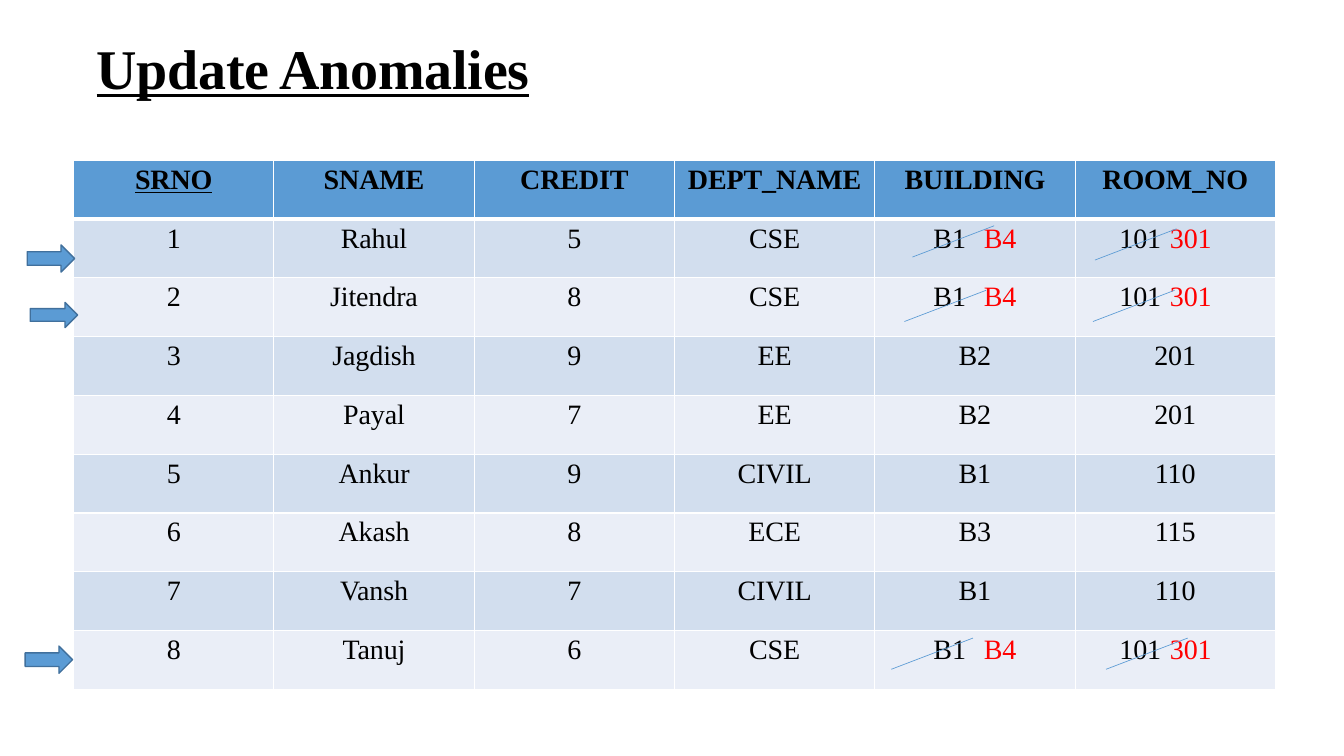
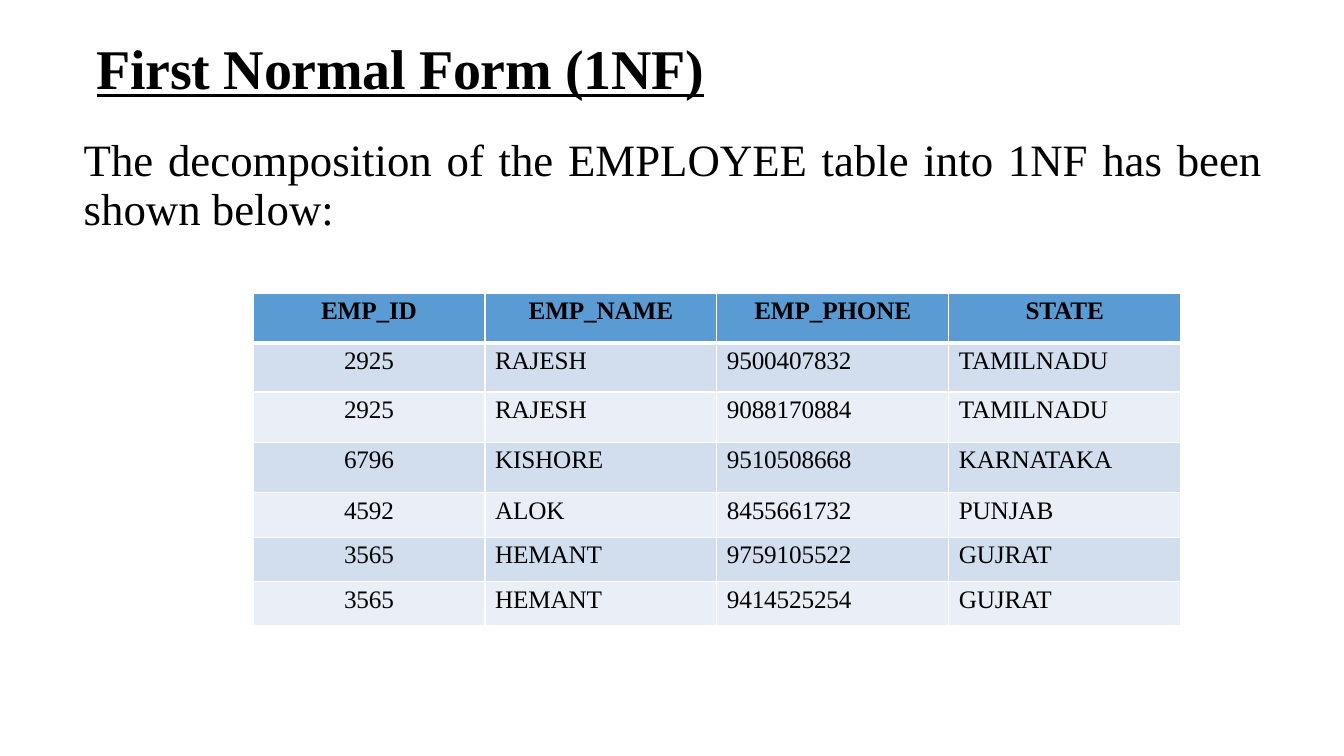
from lxml import etree
from pptx import Presentation
from pptx import util as u
from pptx.dml.color import RGBColor
from pptx.enum import shapes, text
from pptx.oxml.ns import qn

BLACK, WHITE, RED = "000000", "FFFFFF", "FF0000"
BLUE, DARK_BLUE = "5B9BD4", "41709C"
BANDS = ("D2DEEE", "EAEEF7")
LEFT, CENTER, JUSTIFY = (text.PP_ALIGN.LEFT, text.PP_ALIGN.CENTER,
                         text.PP_ALIGN.JUSTIFY)


def color(value):
    return RGBColor.from_string(value)


class Slides:
    """Holds the deck style and the current page."""

    font = "Times New Roman"

    def __init__(self):
        self.deck = Presentation()
        self.deck.slide_width = u.Inches(13.33)
        self.deck.slide_height = u.Inches(7.5)
        self.page = None

    def new_page(self, title):
        self.page = self.deck.slides.add_slide(self.deck.slide_layouts[6])
        self.text_box(title, (0.95, 0.03, 11.43, 1.17), (0.01, 0.3), 40,
                      bold=True, underline=True, spacing=-0.2)

    # Text
    def add_span(self, para, words, size, ink=BLACK, spacing=-0.1, **look):
        span = para.add_run()
        span.text = words
        for name, value in dict(name=self.font, size=u.Pt(size), **look).items():
            setattr(span.font, name, value)
        span.font.color.rgb = color(ink)
        span.font._element.set("spc", str(round(spacing * 100)))

    def text_box(self, words, place, inset, size, align=LEFT, leading=None, **look):
        box = self.page.shapes.add_textbox(*map(u.Inches, place))
        frame = box.text_frame
        settings = dict(word_wrap=True, margin_left=u.Inches(inset[0]),
                        margin_top=u.Inches(inset[1]), margin_right=0,
                        margin_bottom=0)
        for name, value in settings.items():
            setattr(frame, name, value)
        para = frame.paragraphs[0]
        para.alignment = align
        if leading:
            para.line_spacing = u.Pt(leading)
        self.add_span(para, words, size, **look)

    # Tables
    def borders(self, cell, top, bottom):
        properties = cell._tc.get_or_add_tcPr()
        sides = dict(lnL=1, lnR=1, lnT=top, lnB=bottom)
        for index, (side, width) in enumerate(sides.items()):
            line = etree.Element(qn("a:" + side), w=str(u.Pt(width)))
            fill = etree.SubElement(line, qn("a:solidFill"))
            etree.SubElement(fill, qn("a:srgbClr"), val=WHITE)
            properties.insert(index, line)

    def table(self, rows, corner, width, heights, size, left_from=None,
              key=None, tabs=None):
        """A cell given as a pair shows its old and its new value."""
        columns = len(rows[0])
        frame = self.page.shapes.add_table(
            len(rows), columns, *map(u.Inches, (*corner, width, sum(heights))))
        grid = frame.table
        grid.first_row = grid.horz_banding = False
        for column in grid.columns:
            column.width = u.Inches(width / columns)
        for r, (values, height) in enumerate(zip(rows, heights)):
            grid.rows[r].height = u.Inches(height)
            for c, value in enumerate(values):
                cell = grid.cell(r, c)
                cell.margin_left = cell.margin_right = cell.margin_bottom = 0
                cell.margin_top = u.Inches(0.04)
                cell.fill.solid()
                cell.fill.fore_color.rgb = color(BANDS[(r - 1) % 2] if r else BLUE)
                self.borders(cell, 3 if r == 1 else 1, 1 if r else 3)
                para = cell.text_frame.paragraphs[0]
                para.alignment = CENTER
                if isinstance(value, tuple):
                    old, new = value
                    self.tab_stop(para, *tabs[c])
                    self.add_span(para, old + "\t", size)
                    self.add_span(para, new, size, RED)
                    continue
                if r and left_from is not None and c >= left_from:
                    para.alignment = LEFT
                    cell.margin_left = u.Inches(0.1)
                self.add_span(para, value, size, bold=r == 0,
                              underline=r == 0 and value == key)

    def tab_stop(self, para, align, indent, position):
        para.alignment = align
        properties = para._p.get_or_add_pPr()
        properties.set("marL", str(u.Inches(indent)))
        properties.set("indent", "0")
        stops = etree.SubElement(properties, qn("a:tabLst"))
        etree.SubElement(stops, qn("a:tab"), pos=str(u.Inches(position)), algn="l")

    # Marks
    def strike(self, left, top, width=0.81, height=0.31):
        line = self.page.shapes.add_connector(
            shapes.MSO_CONNECTOR.STRAIGHT,
            *map(u.Inches, (left, top + height, left + width, top)))
        line.line.color.rgb = color(BLUE)
        line.line.width = u.Pt(0.48)
        etree.SubElement(line._element.spPr, qn("a:effectLst"))

    def row_arrow(self, left, top, height):
        arrow = self.page.shapes.add_shape(
            shapes.MSO_SHAPE.RIGHT_ARROW,
            *map(u.Inches, (left, top, 0.47, height)))
        arrow.shadow.inherit = False
        arrow.fill.solid()
        arrow.fill.fore_color.rgb = color(BLUE)
        arrow.line.color.rgb = color(DARK_BLUE)
        arrow.line.width = u.Pt(0.96)


def update_anomalies(slides):
    slides.new_page("Update Anomalies")
    moved = ("B1", "B4"), ("101", "301")
    students = [
        ("SRNO", "SNAME", "CREDIT", "DEPT_NAME", "BUILDING", "ROOM_NO"),
        ("1", "Rahul", "5", "CSE", *moved),
        ("2", "Jitendra", "8", "CSE", *moved),
        ("3", "Jagdish", "9", "EE", "B2", "201"),
        ("4", "Payal", "7", "EE", "B2", "201"),
        ("5", "Ankur", "9", "CIVIL", "B1", "110"),
        ("6", "Akash", "8", "ECE", "B3", "115"),
        ("7", "Vansh", "7", "CIVIL", "B1", "110"),
        ("8", "Tanuj", "6", "CSE", *moved),
    ]
    slides.table(students, (0.73, 1.59), 11.92, [5.25 / 9] * 9, 20, key="SRNO",
                 tabs={4: (CENTER, 0, 0.6), 5: (LEFT, 0.44, 1.13)})
    # Struck-out old values
    for left, top in ((9.05, 2.24), (10.86, 2.27), (8.97, 2.88),
                      (10.84, 2.88), (10.97, 6.33), (8.84, 6.33)):
        slides.strike(left, top)
    # Pointers to the changed rows
    for left, top, height in ((0.27, 2.43, 0.27), (0.3, 3, 0.25), (0.25, 6.41, 0.27)):
        slides.row_arrow(left, top, height)


def first_normal_form(slides):
    slides.new_page("First Normal Form (1NF)")
    slides.text_box("The decomposition of the EMPLOYEE table into 1NF has been "
                    "shown below:", (0.82, 1.29, 11.71, 1.04), (0.01, 0.07), 32,
                    align=JUSTIFY, leading=34.6, spacing=0)
    employees = [
        ("EMP_ID", "EMP_NAME", "EMP_PHONE", "STATE"),
        ("2925", "RAJESH", "9500407832", "TAMILNADU"),
        ("2925", "RAJESH", "9088170884", "TAMILNADU"),
        ("6796", "KISHORE", "9510508668", "KARNATAKA"),
        ("4592", "ALOK", "8455661732", "PUNJAB"),
        ("3565", "HEMANT", "9759105522", "GUJRAT"),
        ("3565", "HEMANT", "9414525254", "GUJRAT"),
    ]
    heights = [0.49] * 2 + [0.5] * 2 + [0.44] * 3
    slides.table(employees, (2.51, 2.91), 9.2, heights, 18, left_from=1)


def main():
    slides = Slides()
    update_anomalies(slides)
    first_normal_form(slides)
    slides.deck.save("out.pptx")


if __name__ == "__main__":
    main()
